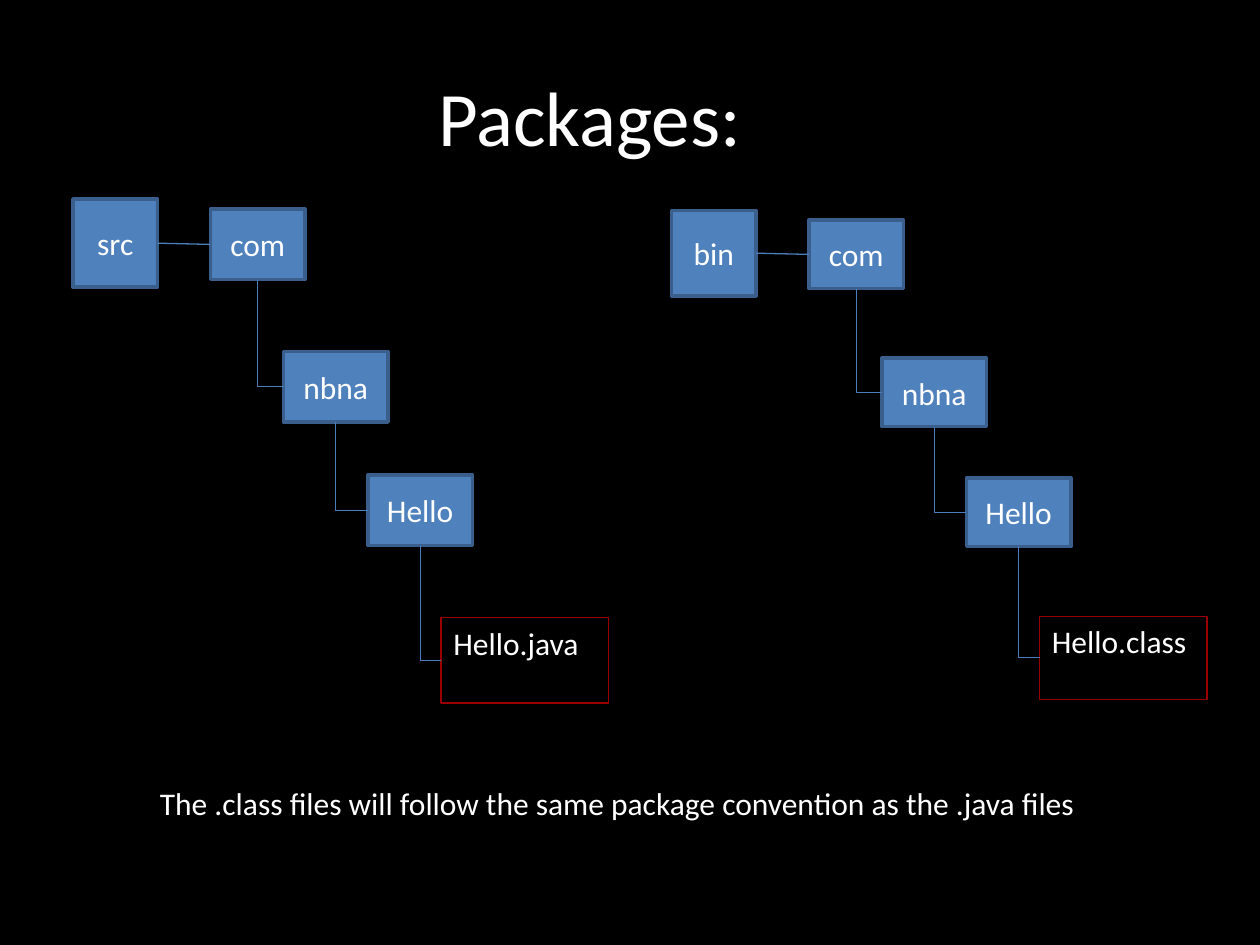
from lxml import etree
from pptx import Presentation
from pptx.dml.color import RGBColor
from pptx.enum.shapes import MSO_CONNECTOR, MSO_SHAPE
from pptx.enum.text import MSO_ANCHOR, PP_ALIGN
from pptx.oxml.ns import qn
from pptx.util import Inches, Pt

BLACK = RGBColor(0x00, 0x00, 0x00)
WHITE = RGBColor(0xFF, 0xFF, 0xFF)
BLUE = RGBColor(0x4F, 0x81, 0xBD)
EDGE = RGBColor(0x3A, 0x5F, 0x8C)
LINK = RGBColor(0x4B, 0x7E, 0xBC)
RED = RGBColor(0x99, 0x00, 0x00)


class Deck:
    font = "Calibri"

    def __init__(self, width, height):
        self.prs = Presentation()
        self.prs.slide_width, self.prs.slide_height = Inches(width), Inches(height)
        self.s = self.prs.slides.add_slide(self.prs.slide_layouts[6])
        self.s.background.fill.solid()
        self.s.background.fill.fore_color.rgb = BLACK

    def add_text(self, sp, text, size=18, align=PP_ALIGN.LEFT, anchor=MSO_ANCHOR.TOP):
        tf = sp.text_frame
        tf.word_wrap = True
        tf.vertical_anchor = anchor
        p = tf.paragraphs[0]
        p.alignment = align
        r = p.add_run()
        r.text = text
        r.font.name, r.font.size = self.font, Pt(size)
        r.font.color.rgb = WHITE

    def text_box(self, x, y, w, h, text, **style):
        sp = self.s.shapes.add_textbox(Inches(x), Inches(y), Inches(w), Inches(h))
        self.add_text(sp, text, **style)

    def box(self, shapes, x, y, w, h, text, fill, line, weight, **style):
        sp = shapes.add_shape(MSO_SHAPE.RECTANGLE, Inches(x), Inches(y),
                              Inches(w), Inches(h))
        sp.shadow.inherit = False
        if fill is None:
            sp.fill.background()
        else:
            sp.fill.solid()
            sp.fill.fore_color.rgb = fill
        sp.line.color.rgb, sp.line.width = line, Pt(weight)
        self.add_text(sp, text, **style)
        return sp

    def folder(self, shapes, x, y, w, h, text):
        return self.box(shapes, x, y, w, h, text, BLUE, EDGE, 2,
                        align=PP_ALIGN.CENTER, anchor=MSO_ANCHOR.MIDDLE)

    def link(self, shapes, kind, start, site, end):
        c = shapes.add_connector(kind, 0, 0, 0, 0)
        c.begin_connect(start, site)
        c.end_connect(end, 1)
        c.line.color.rgb, c.line.width = LINK, Pt(0.75)
        sp_pr = c._element.spPr
        etree.SubElement(sp_pr, qn("a:effectLst"))
        return c, sp_pr

    def straight(self, shapes, start, end):
        self.link(shapes, MSO_CONNECTOR.STRAIGHT, start, 3, end)

    def elbow(self, shapes, start, end):
        """Run down from the bottom of start, then right to the side of end."""
        c, sp_pr = self.link(shapes, MSO_CONNECTOR.ELBOW, start, 2, end)
        x, y = start.left + start.width // 2, start.top + start.height
        w, h = end.left - x, end.top + end.height // 2 - y
        # A quarter turn swaps width and height about the centre
        c.left, c.top = x + (w - h) // 2, y + (h - w) // 2
        c.width, c.height = h, w
        xfrm = sp_pr.find(qn("a:xfrm"))
        xfrm.set("rot", "16200000")
        xfrm.set("flipH", "1")
        sp_pr.find(qn("a:prstGeom")).set("prst", "bentConnector2")

    def tree(self, x, y, scale, root_name, file_name):
        shapes = self.s.shapes.add_group_shape().shapes
        # Package folders: offset from the root, then width
        chain = [self.folder(shapes, x + dx, y + dy * scale, w, 0.56 * scale, name)
                 for dx, dy, w, name in PACKAGES]
        chain.append(self.box(shapes, x + 2.92, y + 3.32 * scale, 1.33, 0.68 * scale,
                              file_name, None, RED, 0.75))
        for start, end in zip(chain, chain[1:]):
            self.elbow(shapes, start, end)
        root = self.folder(shapes, x, y, 0.67, 0.7 * scale, root_name)
        self.straight(shapes, root, chain[0])


PACKAGES = [(1.09, 0.08, 0.75, "com"),
            (1.67, 1.21, 0.83, "nbna"),
            (2.34, 2.19, 0.83, "Hello")]

deck = Deck(10, 7.5)

# Title
deck.text_box(0.5, 0.33, 8.5, 1.17, "Packages: ", size=44,
              align=PP_ALIGN.CENTER, anchor=MSO_ANCHOR.MIDDLE)

# Source and binary folder trees
deck.tree(0.58, 1.58, 1, "src", "Hello.java")
deck.tree(5.33, 1.67, 0.97, "bin", "Hello.class")

# Closing remark
deck.text_box(1.17, 6.17, 7.58, 0.4,
              "The .class files will follow the same package convention as the .java files")

deck.prs.save("out.pptx")
